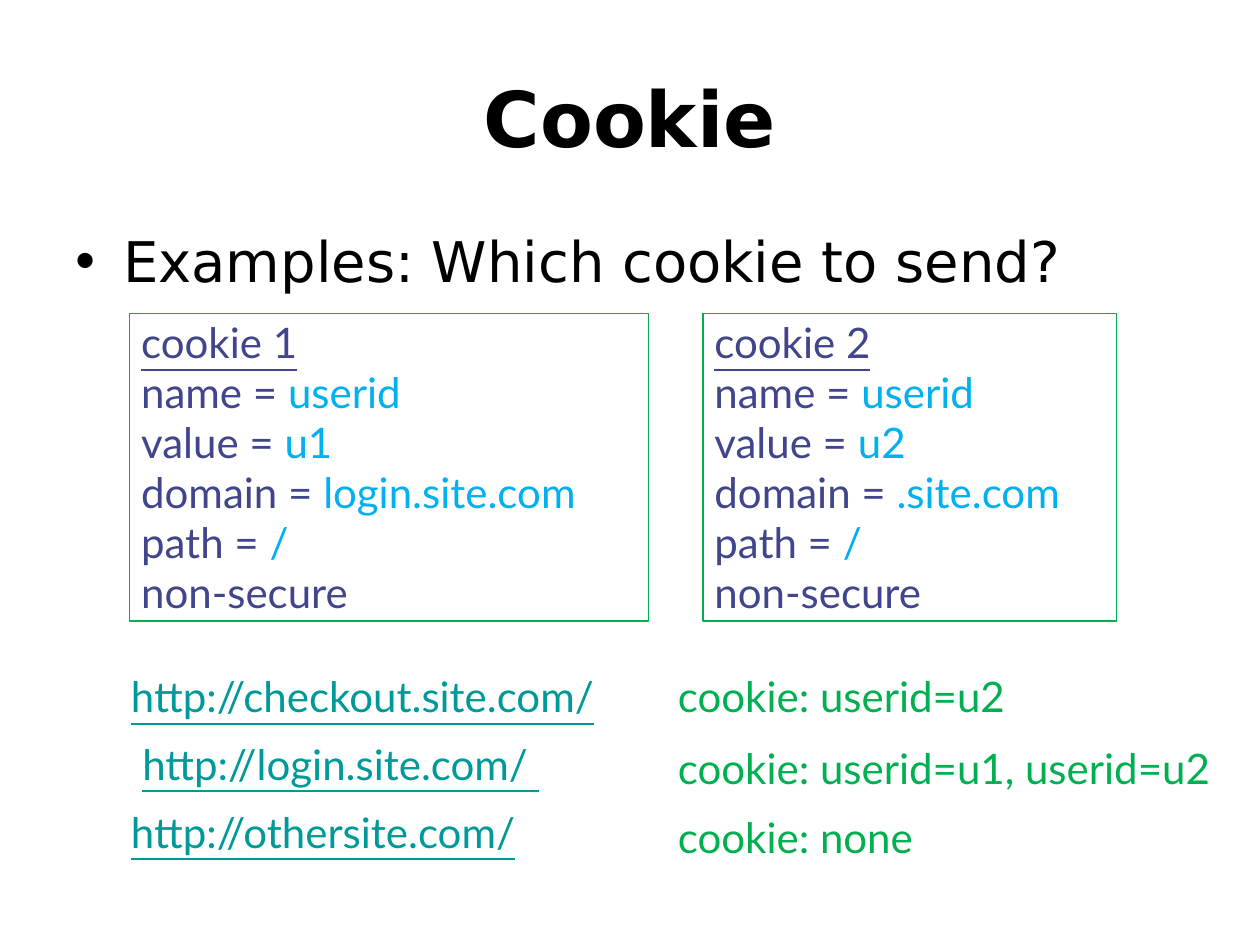
import pptx
import pptx.util
import pptx.dml.color
import pptx.enum.shapes
import pptx.enum.text
import lxml.etree
from pptx.util import Inches

RGBColor = pptx.dml.color.RGBColor
BLACK = RGBColor(0x00, 0x00, 0x00)
INDIGO = RGBColor(0x40, 0x45, 0x8C)
SKY = RGBColor(0x00, 0xB0, 0xF0)
GREEN = RGBColor(0x00, 0xB0, 0x50)
TEAL = RGBColor(0x00, 0x99, 0x99)


def style(font, name, size, color):
    font.name = name
    font.size = pptx.util.Pt(size)
    font.color.rgb = color


def prepare(box, top_inset):
    frame = box.text_frame
    frame.word_wrap = True
    frame.vertical_anchor = pptx.enum.text.MSO_ANCHOR.TOP
    frame.margin_left = frame.margin_right = frame.margin_bottom = 0
    frame.margin_top = Inches(top_inset)
    return frame


deck = pptx.Presentation()
deck.slide_width = Inches(10)
deck.slide_height = Inches(7.5)
page = deck.slides.add_slide(deck.slide_layouts[6])

title = page.shapes.add_textbox(Inches(0), Inches(0.3), Inches(10), Inches(1.25))
title.text_frame.word_wrap = True
title.text_frame.vertical_anchor = pptx.enum.text.MSO_ANCHOR.MIDDLE
para = title.text_frame.paragraphs[0]
para.text = "Cookie"
para.alignment = pptx.enum.text.PP_ALIGN.CENTER
style(para.runs[0].font, "DejaVu Sans", 44, BLACK)
para.runs[0].font.bold = True

question = page.shapes.add_textbox(Inches(0.5), Inches(1.75), Inches(9.5), Inches(5.75))
question.text_frame.word_wrap = True
para = question.text_frame.paragraphs[0]
para.text = "Examples: Which cookie to send?"
properties = para._p.get_or_add_pPr()
properties.set("marL", str(Inches(0.38)))
properties.set("indent", str(Inches(-0.38)))
for tag, attribute, value in (("buFont", "typeface", "Arial"), ("buChar", "char", "•")):
    bullet = lxml.etree.SubElement(properties, pptx.oxml.ns.qn("a:" + tag))
    bullet.set(attribute, value)
style(para.runs[0].font, "DejaVu Sans", 32, BLACK)

cookies = [
    ("cookie 1", 1.03, 4.12, "u1", "login.site.com"),
    ("cookie 2", 5.58, 3.28, "u2", ".site.com"),
]
for heading, left, width, user, domain in cookies:
    card = page.shapes.add_shape(
        pptx.enum.shapes.MSO_SHAPE.RECTANGLE,
        Inches(left), Inches(2.49), Inches(width), Inches(2.44))
    card.shadow.inherit = False
    card.fill.background()
    card.line.color.rgb = GREEN
    card.line.width = pptx.util.Pt(0.75)
    frame = prepare(card, 0.03)
    rows = [
        (heading, ""), ("name = ", "userid"), ("value = ", user),
        ("domain = ", domain), ("path = ", "/"), ("non-secure", ""),
    ]
    frame.text = "\n".join(label for label, value in rows)
    for para, (label, value) in zip(frame.paragraphs, rows):
        para.alignment = pptx.enum.text.PP_ALIGN.LEFT
        para.line_spacing = pptx.util.Pt(28.5)
        para._p.get_or_add_pPr().set("marL", str(Inches(0.09)))
        style(para.runs[0].font, "Lato", 24, INDIGO)
        if value:
            span = para.add_run()
            span.text = value
            style(span.font, "Lato", 24, SKY)
    frame.paragraphs[0].runs[0].font.underline = True

addresses = page.shapes.add_textbox(Inches(1.03), Inches(5.18), Inches(3.76), Inches(1.64))
frame = prepare(addresses, 0.01)
frame.text = "http://checkout.site.com/\nhttp://login.site.com/ \nhttp://othersite.com/"
for para, indent in zip(frame.paragraphs, (0.01, 0.1, 0.01)):
    para.line_spacing = 1.34
    para._p.get_or_add_pPr().set("marL", str(Inches(indent)))
    style(para.runs[0].font, "Lato", 24, TEAL)
    para.runs[0].font.underline = True

answers = page.shapes.add_textbox(Inches(5.37), Inches(5.17), Inches(4.38), Inches(1.64))
frame = prepare(answers, 0.15)
frame.text = "cookie: userid=u2\ncookie: userid=u1, userid=u2\ncookie: none"
for para in frame.paragraphs:
    para._p.get_or_add_pPr().set("marL", str(Inches(0.01)))
    style(para.runs[0].font, "Lato", 24, GREEN)
for para in frame.paragraphs[1:]:
    para.line_spacing = pptx.util.Pt(39)
frame.paragraphs[1].space_before = pptx.util.Pt(2.5)

deck.save("out.pptx")
